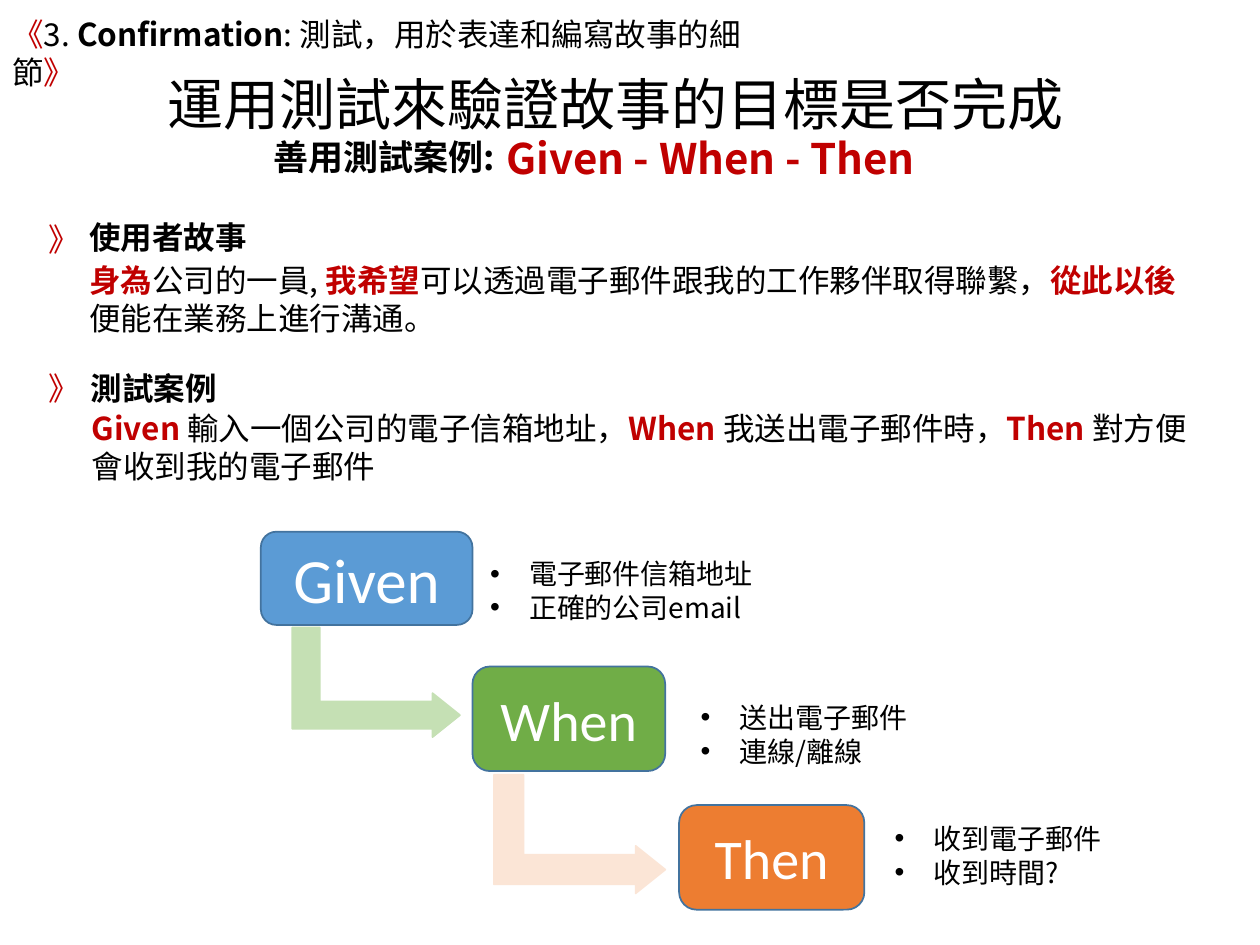
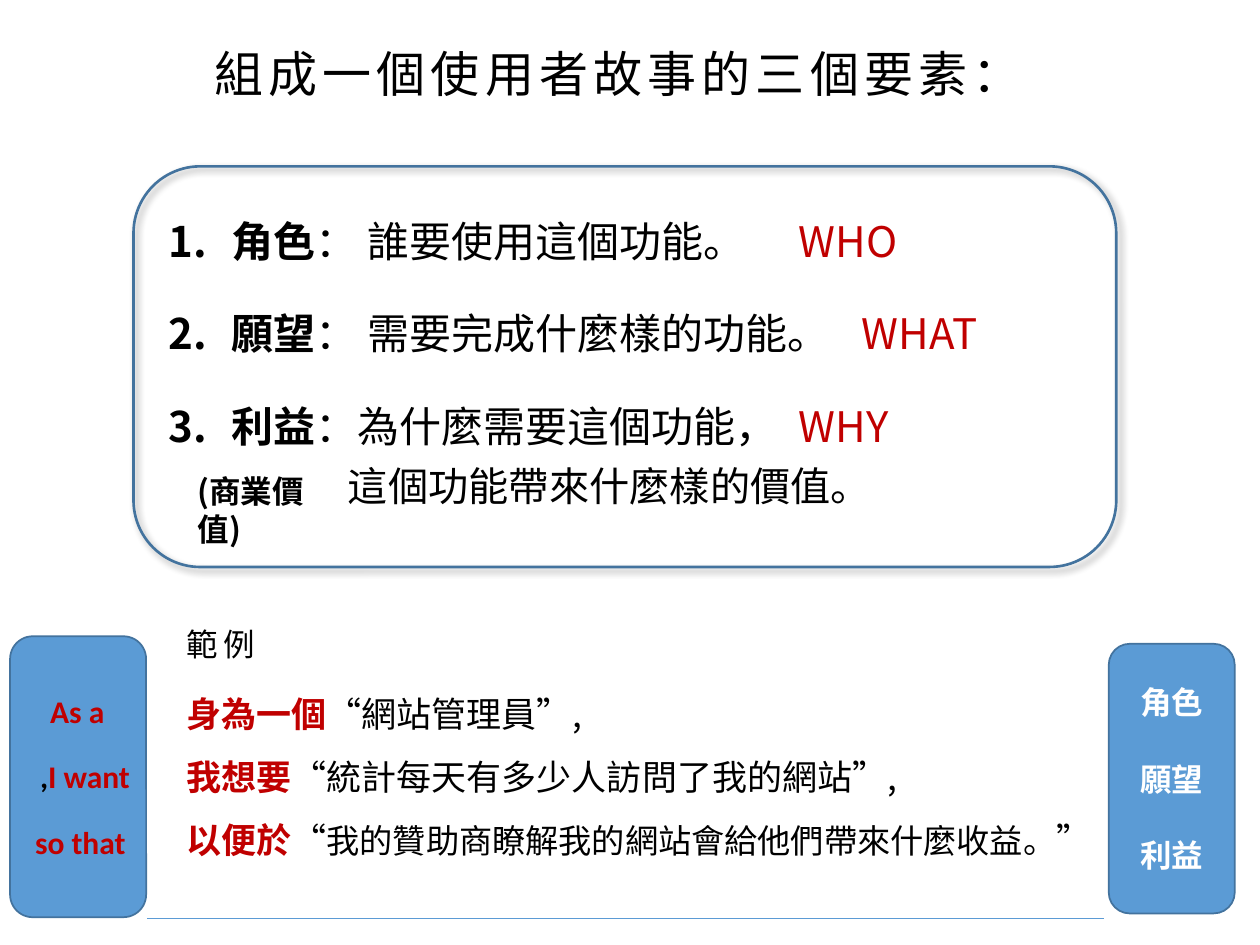
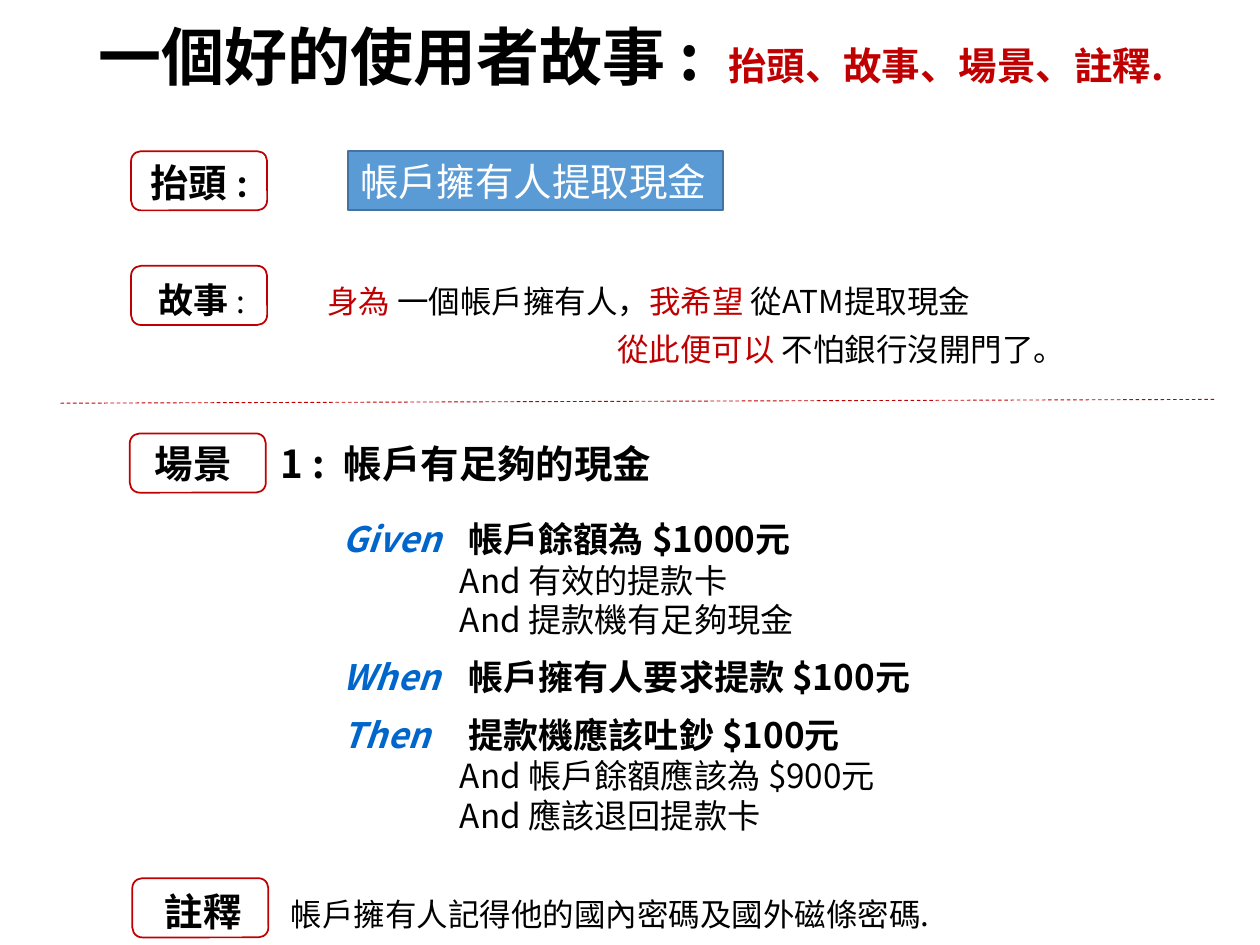
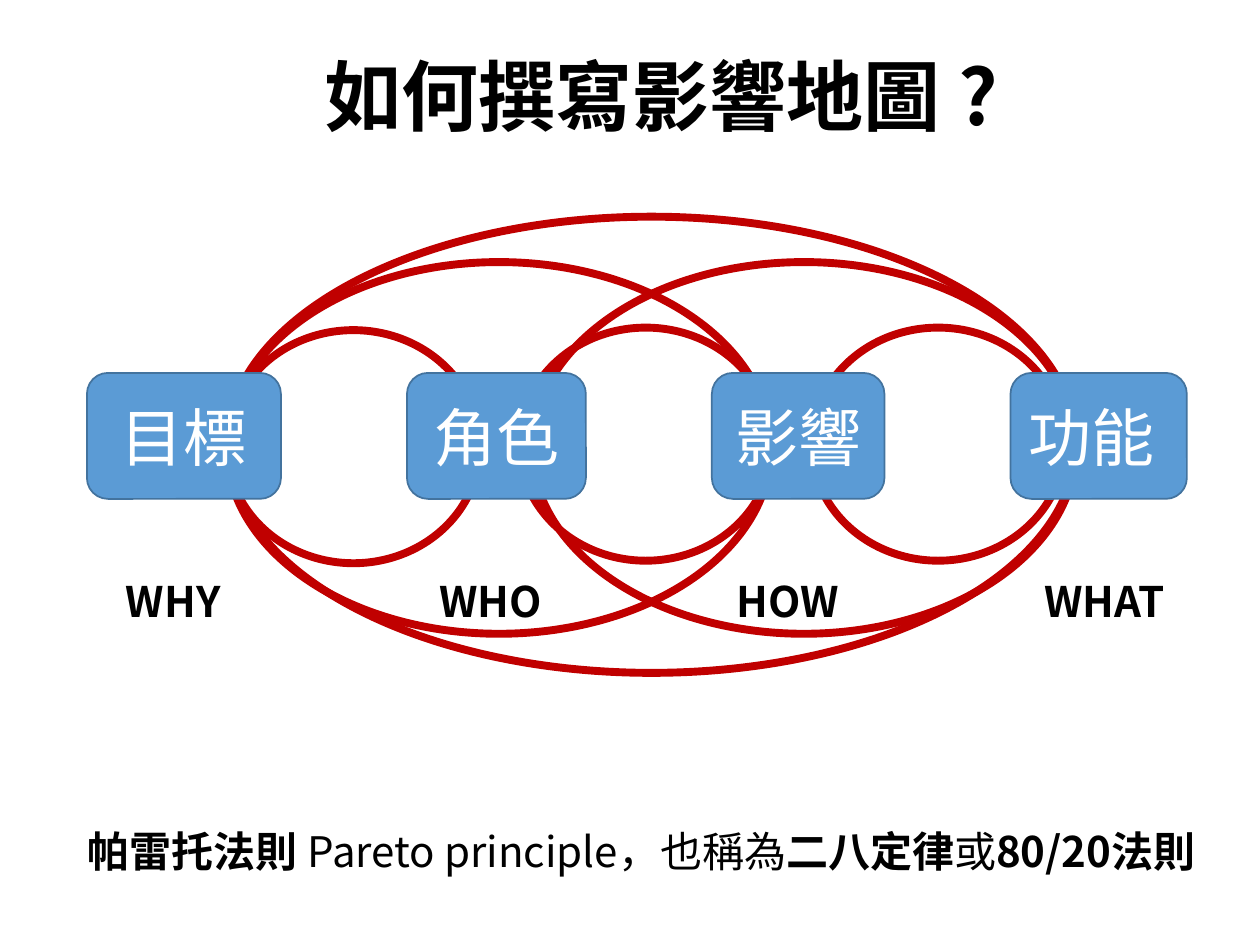
"""Builds four slides on writing user stories, test cases and impact maps."""
from dataclasses import dataclass

from lxml import etree
from pptx import Presentation
from pptx import util as u
from pptx.dml.color import RGBColor
from pptx.enum import dml, shapes, text
from pptx.oxml.ns import qn


@dataclass(frozen=True)
class Theme:
    cjk: str = "Noto Sans CJK SC"
    latin: str = "Calibri"
    ink: str = "000000"
    white: str = "FFFFFF"
    red: str = "C00000"
    link: str = "0066CC"
    blue: str = "5B9BD5"
    edge: str = "43739E"
    green: str = "70AD47"
    orange: str = "ED7D31"
    pale_green: str = "C5E0B4"
    pale_orange: str = "FBE5D6"
    small: int = 16
    normal: int = 18
    fine: int = 19
    medium: int = 20
    label: int = 22
    large: int = 24
    heading: int = 28
    big: int = 32
    huge: int = 36
    display: int = 44


T = Theme()


@dataclass
class Para:
    runs: list
    size: int = T.normal
    color: str = T.ink
    bold: bool = False
    font: str = T.cjk
    align: str = "LEFT"
    before: int = 0
    indent: float = 0
    bullet: str = ""
    tabs: tuple = ()
    tracking: int = 0
    line: float = 1.0


def red(words):
    return words, {"color": T.red}


def strong(words):
    return words, {"bold": True}


def alert(words):
    return words, {"color": T.red, "bold": True}


def keyword(words):
    return words, {"color": T.link, "italic": True}


def title(runs, size, **options):
    return Para(runs, size, line=0.9, **options)


def bullets(*items):
    return [Para([item], T.small, indent=0.31, bullet="•") for item in items]


def centred(words, size, **options):
    return Para([words], size, **{"color": T.white, "align": "CENTER", **options})


def element(number, name, detail, question, tabs, before=24):
    return Para([strong(f"{number}.\t{name}"), f"{detail}\t", red(question)],
                T.large, before=before, tabs=tabs)


def step(word, detail, tab, before=9):
    return Para([keyword(f"{word}\t"), detail], T.medium, bold=True, before=before, tabs=(tab,))


def condition(words):
    return Para([f"And {words}"], T.fine, indent=0.93)


def example(start, rest, before=12):
    return Para([alert(start), *rest], T.medium, before=before)


ROUND, RECT, OVAL, BENT = "ROUNDED_RECTANGLE", "RECTANGLE", "OVAL", "BENT_UP_ARROW"
TAG = {"kind": ROUND, "line": T.red}
RING = {"kind": OVAL, "line": T.red, "weight": 4.5}
BOX = {"kind": ROUND, "fill": T.blue, "line": T.edge}
ARROW = {"kind": BENT, "turn": 90, "adjust": (0.25, 0.2, 0.25)}
MAP_BOXES = [
    ("目標", "WHY", 0.69, 1.54, 0.9, 1.02, "CENTER"),
    ("角色", "WHO", 3.23, 1.42, 3.39, 1.09, "CENTER"),
    ("影響", "HOW", 5.65, 1.37, 5.75, 1.09, "CENTER"),
    ("功能", "WHAT", 8.02, 1.4, 8.19, 1.23, "LEFT"),
]
MAP_RINGS = [(4.22, 2.08, 4.32, 2.95), (1.8, 2.08, 4.32, 2.95), (1.8, 1.72, 6.74, 3.62),
             (1.8, 2.62, 2.01, 1.85), (4.12, 2.6, 2.01, 1.85), (6.44, 2.6, 2.01, 1.85)]

TEST_SLIDE = {
    "layout": 4,
    "title": ((1.23, 0.5, 8.62, 0.71), title(["運用測試來驗證故事的目標是否完成"], T.big)),
    "bodies": [
        ((3.79, 4.37, 2.31, 0.64), bullets("電子郵件信箱地址", "正確的公司email")),
        ((5.46, 5.51, 1.86, 0.64), bullets("送出電子郵件", "連線/離線")),
        ((7, 6.47, 1.86, 0.64), bullets("收到電子郵件", "收到時間?")),
    ],
    "shapes": [
        ((2.07, 4.22, 1.68, 0.74), BOX, [centred("Given", T.huge, font=T.latin)]),
        ((3.75, 5.29, 1.53, 0.83), {**BOX, "fill": T.green},
         [centred("When", T.big, font=T.latin)]),
        ((5.39, 6.39, 1.47, 0.83), {**BOX, "fill": T.orange},
         [centred("Then", T.big, font=T.latin)]),
        ((2.55, 4.75, 0.87, 1.33), {**ARROW, "fill": T.pale_green, "line": T.pale_green}, []),
        ((4.13, 5.94, 0.94, 1.36), {**ARROW, "fill": T.pale_orange, "line": T.pale_orange}, []),
    ],
    "texts": [
        ((0, 0.07, 6.45, 0.4), [Para([red("《"), "3. ", strong("Confirmation"),
                                      ": 測試，用於表達和編寫故事的細節", red("》")])]),
        ((3.92, 1, 3.62, 0.5),
         [Para(["Given - When - Then"], T.large, color=T.red, bold=True)]),
        ((2.07, 1.03, 1.96, 0.44), [Para(["善用測試案例:"], T.medium, bold=True)]),
        ((0.61, 2.02, 9.03, 0.71), [Para([
            alert("身為"), "公司的一員, ", alert("我希望"),
            "可以透過電子郵件跟我的工作夥伴取得聯繫，", alert("從此以後"),
            "便能在業務上進行溝通。"])]),
        ((0.63, 3.2, 9.03, 0.71), [Para([
            alert("Given "), "輸入一個公司的電子信箱地址，", alert("When "),
            "我送出電子郵件時，", alert("Then "), "對方便會收到我的電子郵件"])]),
        ((0.61, 1.68, 1.5, 0.4), [Para(["使用者故事"], bold=True)]),
        ((0.62, 2.88, 1.25, 0.4), [Para(["測試案例"], bold=True)]),
        ((0.29, 1.7, 0.5, 0.4), [Para(["》"], color=T.red)]),
        ((0.29, 2.88, 0.5, 0.4), [Para(["》"], color=T.red)]),
    ],
}

ELEMENT_SLIDE = {
    "layout": 1,
    "title": ((1.6, 0.29, 6.8, 0.57),
              Para(["組成一個使用者故事的三個要素："], T.heading, tracking=3)),
    "bodies": [((1.24, 1.66, 8.38, 2.48), [
        element(1, "角色", "： 誰要使用這個功能。", "WHO", (0.5, 5.77), before=0),
        element(2, "願望", "： 需要完成什麼樣的功能。", "WHAT", (0.61, 5.96)),
        element(3, "利益", "：為什麼需要這個功能，", "WHY", (0.61, 5.92)),
        Para(["這個功能帶來什麼樣的價值。"], 23, before=6, indent=1.42),
    ])],
    "shapes": [
        ((0.08, 5.05, 1.08, 2.23), BOX, []),
        ((1.06, 1.32, 7.8, 3.18),
         {"kind": ROUND, "line": T.edge, "weight": 1.5, "shadow": True}, []),
        ((8.8, 5.11, 1, 2.14), BOX,
         [centred(words, T.normal, bold=True, before=before)
          for words, before in (("角色", 0), ("願望", 22), ("利益", 22))]),
    ],
    "texts": [
        ((1.38, 5.45, 7.71, 1.45), [
            example("身為一個", ["“網站管理員”,"], before=0),
            example("我想要", ["“統計每天有多少人訪問了我的網站”,"]),
            example("以便於", ["“", ("我的贊助商瞭解我的網站會給他們帶來什麼收益。",
                                  {"size": T.fine}), "”"]),
        ]),
        ((0.3, 5.44, 0.8, 0.4), [Para(["As a"], color=T.red, bold=True, font=T.latin)]),
        ((0.22, 5.96, 1.1, 0.4), [Para([",", red("I want")], bold=True, font=T.latin)]),
        ((0.18, 6.48, 1, 0.4), [Para(["so that"], color=T.red, bold=True, font=T.latin)]),
        ((1.38, 4.91, 0.85, 0.4), [Para(["範例"], tracking=3)]),
        ((1.47, 3.7, 1.2, 0.4), [Para(["(商業價值)"], bold=True)]),
    ],
    "lines": [((1.17, 7.29), (8.76, 7.29), T.blue, None)],
}

STORY_SLIDE = {
    "layout": 1,
    "title": ((0.68, 0.13, 9.1, 0.69), title(
        ["一個好的使用者故事 :\t", ("抬頭、故事、場景、註釋.", {"size": T.label, "color": T.red})],
        T.huge, bold=True, tabs=(5.25,))),
    "bodies": [((2.62, 4.06, 6.47, 2.71), [
        step("Given", "帳戶餘額為 $1000元", 1.11, before=0),
        condition("有效的提款卡"),
        condition("提款機有足夠現金"),
        step("When", "帳戶擁有人要求提款 $100元", 1.03),
        step("Then", "提款機應該吐鈔 $100元", 1.07),
        condition("帳戶餘額應該為 $900元"),
        condition("應該退回提款卡"),
    ])],
    "shapes": [
        ((2.76, 1.2, 2.98, 0.47), {**BOX, "kind": RECT},
         [Para(["帳戶擁有人提取現金"], T.label, color=T.white)]),
        ((1.04, 1.2, 1.08, 0.47), TAG, [Para(
            ["抬頭", (" :", {"size": T.large, "font": T.latin})],
            T.label, bold=True, align="CENTER")]),
        ((1.04, 2.11, 1.08, 0.47), TAG, []),
        ((1.03, 3.44, 1.08, 0.47), TAG, []),
        ((1.05, 6.97, 1.08, 0.47), TAG, []),
    ],
    "texts": [
        ((2.5, 2.19, 6.9, 0.79), [
            Para([red("身為 "), "一個帳戶擁有人，", red("我希望 "), "從ATM提取現金"]),
            Para([red("從此便可以 "), "不怕銀行沒開門了。"], before=6, indent=2.3),
        ]),
        ((1.13, 3.44, 5, 0.47),
         [Para(["場景\t1 :\t帳戶有足夠的現金"], T.label, bold=True, tabs=(1.04, 1.66))]),
        ((1.21, 7, 6.8, 0.47), [Para(
            [("註釋\t", {"size": T.label, "bold": True}),
             "帳戶擁有人記得他的國內密碼及國外磁條密碼."], tabs=(1.02,))]),
        ((1.16, 2.16, 1.1, 0.44),
         [Para([("故事 ", {"size": T.medium, "bold": True}), ":"])]),
    ],
    "lines": [((0.48, 3.2), (9.65, 3.17), T.red, dml.MSO_LINE.DASH)],
}

MAP_SLIDE = {
    "layout": 5,
    "title": ((0.94, 0.07, 8.62, 1.45),
              title(["如何撰寫影響地圖 ?"], T.display, bold=True, align="CENTER")),
    "shapes": [(ring, RING, []) for ring in MAP_RINGS] + [
        ((left, 2.96, width, 1), BOX, [centred(name, T.huge, align=align)])
        for name, _, left, width, _, _, align in MAP_BOXES],
    "texts": [
        ((left, 4.52, width, 0.5), [Para([question], T.large, bold=True)])
        for _, question, _, _, left, width, _ in MAP_BOXES] + [
        ((0.6, 6.5, 9.4, 0.5), [Para(
            [strong("帕雷托法則 "), "Pareto principle，也稱為", strong("二八定律"), "或",
             strong("80/20法則")], T.large)])],
}


def style_font(font, size=None, color=None, bold=None, italic=None, name=None):
    if size:
        font.size = u.Pt(size)
    if color:
        font.color.rgb = RGBColor.from_string(color)
    if bold is not None:
        font.bold = bold
    if italic is not None:
        font.italic = italic
    if name:
        font.name = name


def add_list_format(properties, para):
    """Sets the indent, the bullet and the tab stops of a paragraph."""
    properties.set("marL", str(u.Inches(para.indent)))
    properties.set("indent", str(u.Inches(-para.indent if para.bullet else 0)))
    if para.bullet:
        etree.SubElement(properties, qn("a:buFont"), typeface="Arial")
        etree.SubElement(properties, qn("a:buChar"), char=para.bullet)
    else:
        etree.SubElement(properties, qn("a:buNone"))
    if para.tabs:
        stops = etree.SubElement(properties, qn("a:tabLst"))
        for stop in para.tabs:
            etree.SubElement(stops, qn("a:tab"), pos=str(u.Inches(stop)), algn="l")


def write(box, paras, anchor="TOP"):
    frame = box.text_frame
    frame.auto_size = text.MSO_AUTO_SIZE.NONE
    frame.vertical_anchor = text.MSO_ANCHOR[anchor]
    frame.word_wrap = True
    for number, para in enumerate(paras):
        paragraph = frame.paragraphs[0] if number == 0 else frame.add_paragraph()
        paragraph.alignment = text.PP_ALIGN[para.align]
        paragraph.space_before = u.Pt(para.before)
        paragraph.line_spacing = para.line
        properties = paragraph._p.get_or_add_pPr()
        add_list_format(properties, para)
        style_font(paragraph.font, para.size, para.color, para.bold, False, para.font)
        default = properties.find(qn("a:defRPr"))
        default.set("spc", str(para.tracking * 100))
        etree.SubElement(default, qn("a:ea"), typeface=para.font)
        for part in para.runs:
            words, changes = (part, {}) if isinstance(part, str) else part
            span = paragraph.add_run()
            span.text = words
            style = dict(changes)
            style_font(span.font, name=style.pop("font", None), **style)


def place(box, at):
    box.left, box.top, box.width, box.height = map(u.Inches, at)
    return box


def add_shadow(shape):
    effects = shape._element.spPr.find(qn("a:effectLst"))
    shadow = etree.SubElement(effects, qn("a:outerShdw"), blurRad=str(u.Pt(4)),
                              dist=str(u.Pt(3)), dir="2700000", algn="tl", rotWithShape="0")
    color = etree.SubElement(shadow, qn("a:srgbClr"), val=T.ink)
    etree.SubElement(color, qn("a:alpha"), val="40000")


def draw_shape(page, at, look, paras):
    shape = page.shapes.add_shape(shapes.MSO_SHAPE[look["kind"]], *map(u.Inches, at))
    shape.shadow.inherit = False
    shape.rotation = look.get("turn", 0)
    for number, value in enumerate(look.get("adjust", ())):
        shape.adjustments[number] = value
    if "fill" in look:
        shape.fill.solid()
        shape.fill.fore_color.rgb = RGBColor.from_string(look["fill"])
    else:
        shape.fill.background()
    shape.line.color.rgb = RGBColor.from_string(look["line"])
    shape.line.width = u.Pt(look.get("weight", 1))
    if look.get("shadow"):
        add_shadow(shape)
    if paras:
        write(shape, paras, "MIDDLE")
        shape.text_frame.word_wrap = paras[0].align != "CENTER"


def draw_line(page, start, end, color, dash):
    line = page.shapes.add_connector(shapes.MSO_CONNECTOR.STRAIGHT, *map(u.Inches, start + end))
    line.line.color.rgb = RGBColor.from_string(color)
    line.line.width = u.Pt(0.5)
    if dash:
        line.line.dash_style = dash
    etree.SubElement(line._element.spPr, qn("a:effectLst"))


def build_page(deck, content):
    page = deck.slides.add_slide(deck.slide_layouts[content["layout"]])
    at, heading = content["title"]
    write(place(page.shapes.title, at), [heading], "MIDDLE")
    bodies = list(page.placeholders)[1:]
    for body, (at, paras) in zip(bodies, content.get("bodies", [])):
        write(place(body, at), paras)
    for body in bodies:
        if not body.text_frame.text:
            body._element.getparent().remove(body._element)
    for item in content["shapes"]:
        draw_shape(page, *item)
    for at, paras in content["texts"]:
        write(page.shapes.add_textbox(*map(u.Inches, at)), paras)
    for item in content.get("lines", []):
        draw_line(page, *item)


def main():
    deck = Presentation()
    deck.slide_width, deck.slide_height = u.Inches(10), u.Inches(7.5)
    for content in (TEST_SLIDE, ELEMENT_SLIDE, STORY_SLIDE, MAP_SLIDE):
        build_page(deck, content)
    deck.save("out.pptx")


if __name__ == "__main__":
    main()
